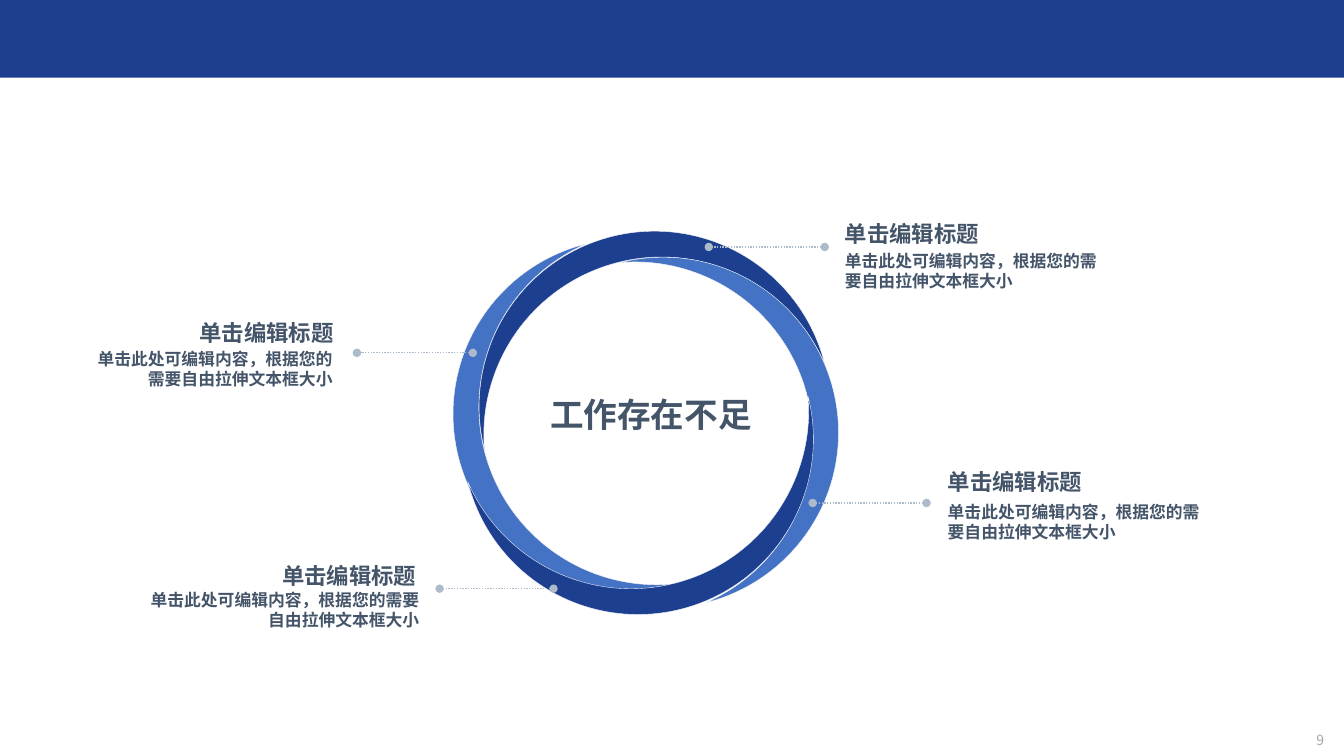
import pptx
import pptx.util
import pptx.dml.color
import pptx.enum.dml
import pptx.enum.shapes
import pptx.enum.text
import pptx.oxml
import pptx.oxml.ns
from pptx.util import Inches

HUES = {"navy": "1C3F8F", "blue": "4472C4", "edge": "F8F8F8",
        "ink": "445469", "rule": "ADBACA", "grey": "A6A6A6"}
CJK = "Noto Sans CJK SC"
HEAD = "单击编辑标题"
BODY = "单击此处可编辑内容，根据您的需要自由拉伸文本框大小"
LEFT = pptx.enum.text.PP_ALIGN.LEFT
MID = pptx.enum.text.PP_ALIGN.CENTER
RIGHT = pptx.enum.text.PP_ALIGN.RIGHT

MOONS = [(4.52, 2.58, "blue"), (5.41, 1.45, "navy"),
         (6.55, 2.34, "blue"), (5.67, 3.46, "navy")]

NOTES = [
    (RIGHT, (1.17, 3.16, 2.14), (0.89, 3.46, 2.41), (4.69, 3.54, 3.5)),
    (LEFT, (8.38, 2.18, 1.38), (8.38, 2.49, 2.61), (8.18, 7.03, 2.45)),
    (RIGHT, (1.99, 5.57, 2.14), (1.49, 5.85, 2.67), (5.49, 4.36, 5.84)),
    (LEFT, (9.4, 4.64, 2.14), (9.4, 4.98, 2.57), (9.19, 8.06, 4.99)),
]


def hue(name):
    return pptx.dml.color.RGBColor.from_string(HUES[name])


def add_el(host, tag, **attrs):
    node = pptx.oxml.parse_xml(f"<a:{tag} {pptx.oxml.ns.nsdecls('a')}/>")
    for key, val in attrs.items():
        node.set(key, val)
    host.append(node)


def add_bar(slide):
    kind = pptx.enum.shapes.MSO_SHAPE.RECTANGLE
    bar = slide.shapes.add_shape(kind, 0, Inches(-0.02), Inches(13.33), Inches(0.79))
    bar.shadow.inherit = False
    bar.fill.solid()
    bar.fill.fore_color.rgb = hue("navy")
    bar.line.fill.background()


def add_moon(slide, left, top, turn, tint):
    kind = pptx.enum.shapes.MSO_SHAPE.MOON
    moon = slide.shapes.add_shape(kind, Inches(left), Inches(top), Inches(1.74), Inches(3.48))
    moon.adjustments[0] = 0.152
    moon.rotation = turn
    moon.shadow.inherit = False
    moon.fill.solid()
    moon.fill.fore_color.rgb = hue(tint)
    moon.line.color.rgb = hue("edge")
    moon.line.width = pptx.util.Pt(0.25)


def add_text(slide, spot, text, size, side, pad=0, face="Arial", tint="ink", bold=True):
    box = slide.shapes.add_textbox(*map(Inches, spot))
    frame = box.text_frame
    frame.word_wrap = True
    frame.vertical_anchor = pptx.enum.text.MSO_ANCHOR.MIDDLE
    frame.margin_left = frame.margin_right = Inches(pad * 2)
    frame.margin_top = frame.margin_bottom = Inches(pad)
    para = frame.paragraphs[0]
    para.alignment = side
    para.line_spacing = pptx.util.Pt(size * 1.2)
    run = para.add_run()
    run.text = text
    run.font.size = pptx.util.Pt(size)
    run.font.bold = bold
    run.font.color.rgb = hue(tint)
    run.font.name = face
    add_el(run.font._element, "ea", typeface=CJK)


def add_link(slide, start, end, top):
    kind = pptx.enum.shapes.MSO_CONNECTOR.STRAIGHT
    link = slide.shapes.add_connector(kind, Inches(start), Inches(top), Inches(end), Inches(top))
    link.line.color.rgb = hue("rule")
    link.line.width = pptx.util.Pt(1)
    link.line.dash_style = pptx.enum.dml.MSO_LINE.ROUND_DOT
    for tag in ("headEnd", "tailEnd"):
        add_el(link.line._get_or_add_ln(), tag, type="oval")
    add_el(link._element.spPr, "effectLst")


def add_note(slide, side, head, body, link):
    add_link(slide, *link)
    add_text(slide, (*head, 0.27), HEAD, 16, side)
    add_text(slide, (*body, 0.4), BODY, 12, side)


def main():
    deck = pptx.Presentation()
    deck.slide_width = Inches(13.33)
    deck.slide_height = Inches(7.5)
    slide = deck.slides.add_slide(deck.slide_layouts[6])
    add_bar(slide)
    add_text(slide, (12.16, 7.2, 1.07, 0.28), "9", 10, RIGHT, 0.05, CJK, "grey", False)
    for step, (left, top, tint) in enumerate(MOONS):
        add_moon(slide, left, top, (345.9 + 90 * step) % 360, tint)
    add_text(slide, (5.3, 3.86, 2.31, 0.5), "工作存在不足", 24, MID, 0.05)
    for note in NOTES:
        add_note(slide, *note)
    deck.save("out.pptx")


if __name__ == "__main__":
    main()
